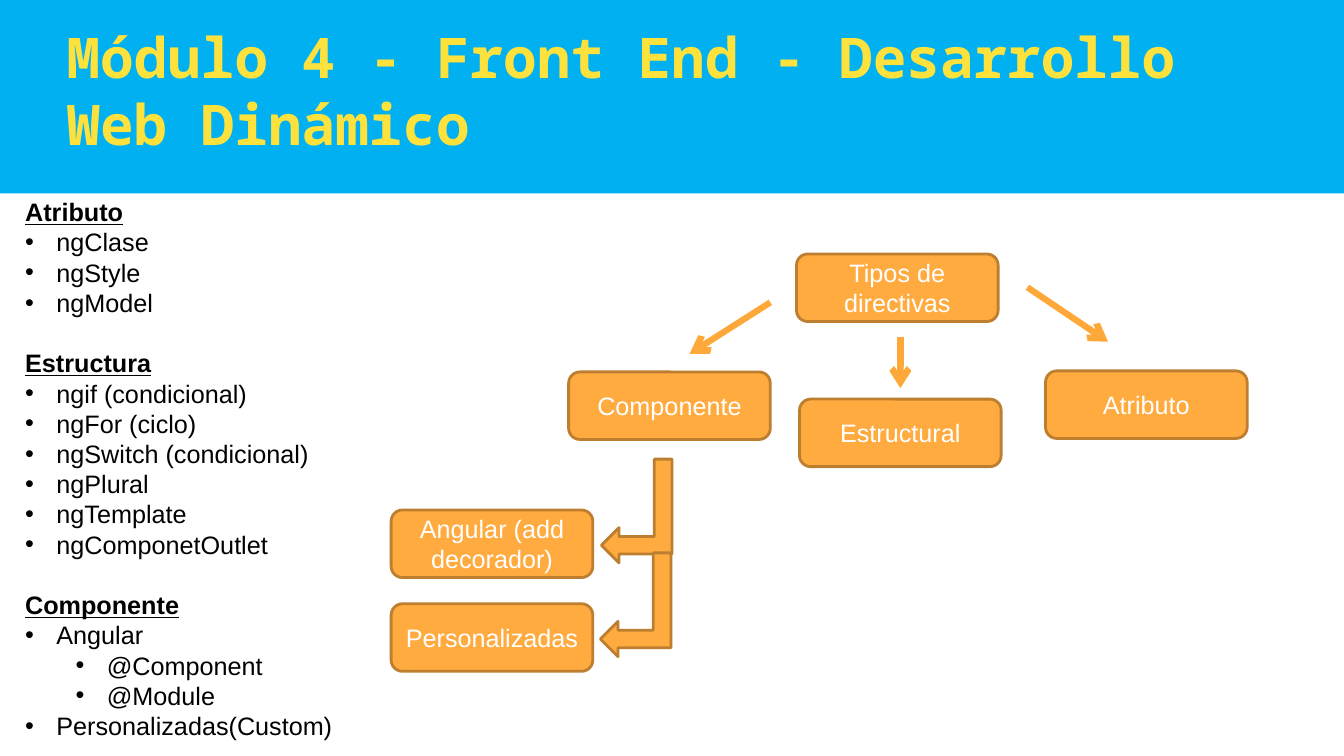
from lxml import etree
from pptx import Presentation
from pptx.dml.color import RGBColor
from pptx.enum.shapes import MSO_CONNECTOR, MSO_SHAPE
from pptx.enum.text import MSO_ANCHOR, PP_ALIGN
from pptx.oxml.ns import qn
from pptx.util import Inches, Pt

RECTANGLE = MSO_SHAPE.RECTANGLE
NODE = MSO_SHAPE.FLOWCHART_ALTERNATE_PROCESS
BENT_ARROW = MSO_SHAPE.BENT_UP_ARROW
STRAIGHT = MSO_CONNECTOR.STRAIGHT
TOP, MIDDLE = MSO_ANCHOR.TOP, MSO_ANCHOR.MIDDLE
LEFT, CENTER = PP_ALIGN.LEFT, PP_ALIGN.CENTER

BODY_SIZE = 18
BLANK_LINE = 21.5
NODE_SIZE = (2, 0.67)
BENT_SIZE = (1.03, 0.7)

DIRECTIVES = {
    "Atributo": [("ngClase", 0), ("ngStyle", 0), ("ngModel", 0)],
    "Estructura": [
        ("ngif (condicional)", 0), ("ngFor (ciclo)", 0),
        ("ngSwitch (condicional)", 0), ("ngPlural", 0),
        ("ngTemplate", 0), ("ngComponetOutlet", 0),
    ],
    "Componente": [
        ("Angular", 0), ("@Component", 1), ("@Module", 1),
        ("Personalizadas(Custom)", 0),
    ],
}
NODES = [
    ("Tipos de directivas", 7.9, 2.52),
    ("Componente", 5.64, 3.69),
    ("Estructural", 7.93, 3.96),
    ("Atributo", 10.37, 3.68),
    ("Angular (add decorador)", 3.88, 5.06),
    ("Personalizadas", 3.88, 5.99),
]
BRANCHES = [
    (7.64, 3, 6.84, 3.51),
    (10.19, 2.85, 10.99, 3.39),
    (8.93, 3.34, 8.93, 3.85),
]
BENT_ARROWS = [(5.8, 4.72), (5.79, 5.65)]


def rgb(value):
    return RGBColor.from_string(value)


def write(paragraph, text, font="Arial", size=BODY_SIZE, color="000000",
          bold=False, underline=False, align=LEFT, before=0):
    paragraph.alignment = align
    paragraph.space_before = Pt(before)
    paragraph.line_spacing = 1.0
    run = paragraph.add_run()
    run.text = text
    run.font.name = font
    run.font.size = Pt(size)
    run.font.bold = bold
    run.font.underline = underline
    run.font.color.rgb = rgb(color)


def add_bullet(paragraph, level):
    paragraph.level = level
    properties = paragraph._p.get_or_add_pPr()
    properties.set("marL", str(Inches(0.31 + 0.5 * level)))
    properties.set("indent", str(Inches(-0.31)))
    etree.SubElement(properties, qn("a:buFont")).set("typeface", "Arial")
    etree.SubElement(properties, qn("a:buChar")).set("char", "•")


class DirectivesSlide:
    banner_fill = "00B0F0"
    title_color = "FDE23D"
    node_fill = "FFAB40"
    node_line = "BD7F2F"
    branch_color = "FEA83A"

    def __init__(self, presentation):
        self.slide = presentation.slides.add_slide(presentation.slide_layouts[5])
        self.shapes = self.slide.shapes

    def frame(self, shape, anchor, inset):
        frame = shape.text_frame
        frame.word_wrap = True
        frame.vertical_anchor = anchor
        frame.margin_left = frame.margin_right = Inches(inset)
        frame.margin_top = frame.margin_bottom = Inches(inset)
        return frame

    def shape(self, kind, left, top, width, height, fill, line=None):
        shape = self.shapes.add_shape(
            kind, Inches(left), Inches(top), Inches(width), Inches(height))
        shape.shadow.inherit = False
        shape.fill.solid()
        shape.fill.fore_color.rgb = rgb(fill)
        if line:
            shape.line.color.rgb = rgb(line)
            shape.line.width = Pt(2)
        else:
            shape.line.fill.background()
        return shape

    def title(self, text):
        banner = self.shape(RECTANGLE, 0, -0.02, 13.33, 1.94, self.banner_fill)
        title = self.shapes.title
        title.element.addprevious(banner.element)
        title.left, title.top = Inches(0.61), Inches(0.17)
        title.width, title.height = Inches(12.05), Inches(1.31)
        frame = self.frame(title, TOP, 0.05)
        write(frame.paragraphs[0], text, font="Noto Sans Mono", size=40,
              color=self.title_color, bold=True)

    def directive_list(self, groups):
        box = self.shapes.add_textbox(
            Inches(0.12), Inches(1.82), Inches(5), Inches(5.64))
        frame = self.frame(box, TOP, 0.13)
        for index, (heading, entries) in enumerate(groups.items()):
            paragraph = frame.add_paragraph() if index else frame.paragraphs[0]
            write(paragraph, heading, bold=True, underline=True,
                  before=BLANK_LINE if index else 0)
            for text, level in entries:
                paragraph = frame.add_paragraph()
                write(paragraph, text)
                add_bullet(paragraph, level)

    def node(self, text, left, top):
        node = self.shape(NODE, left, top, *NODE_SIZE, self.node_fill, self.node_line)
        frame = self.frame(node, MIDDLE, 0.05)
        write(frame.paragraphs[0], text, color="FFFFFF", align=CENTER)

    def branch(self, *ends):
        branch = self.shapes.add_connector(STRAIGHT, *map(Inches, ends))
        branch.line.color.rgb = rgb(self.branch_color)
        branch.line.width = Pt(4.5)
        etree.SubElement(branch.line._get_or_add_ln(), qn("a:tailEnd")).set("type", "arrow")
        etree.SubElement(branch.element.spPr, qn("a:effectLst"))

    def bent_arrow(self, left, top):
        arrow = self.shape(
            BENT_ARROW, left, top, *BENT_SIZE, self.node_fill, self.node_line)
        arrow.rotation = 270
        arrow.element.spPr.find(qn("a:xfrm")).set("flipH", "1")


def main():
    presentation = Presentation()
    presentation.slide_width = Inches(13.33)
    presentation.slide_height = Inches(7.5)
    slide = DirectivesSlide(presentation)
    slide.title("Módulo 4 - Front End - Desarrollo Web Dinámico")
    slide.directive_list(DIRECTIVES)
    for node in NODES:
        slide.node(*node)
    for ends in BRANCHES:
        slide.branch(*ends)
    for corner in BENT_ARROWS:
        slide.bent_arrow(*corner)
    presentation.save("out.pptx")


if __name__ == "__main__":
    main()
